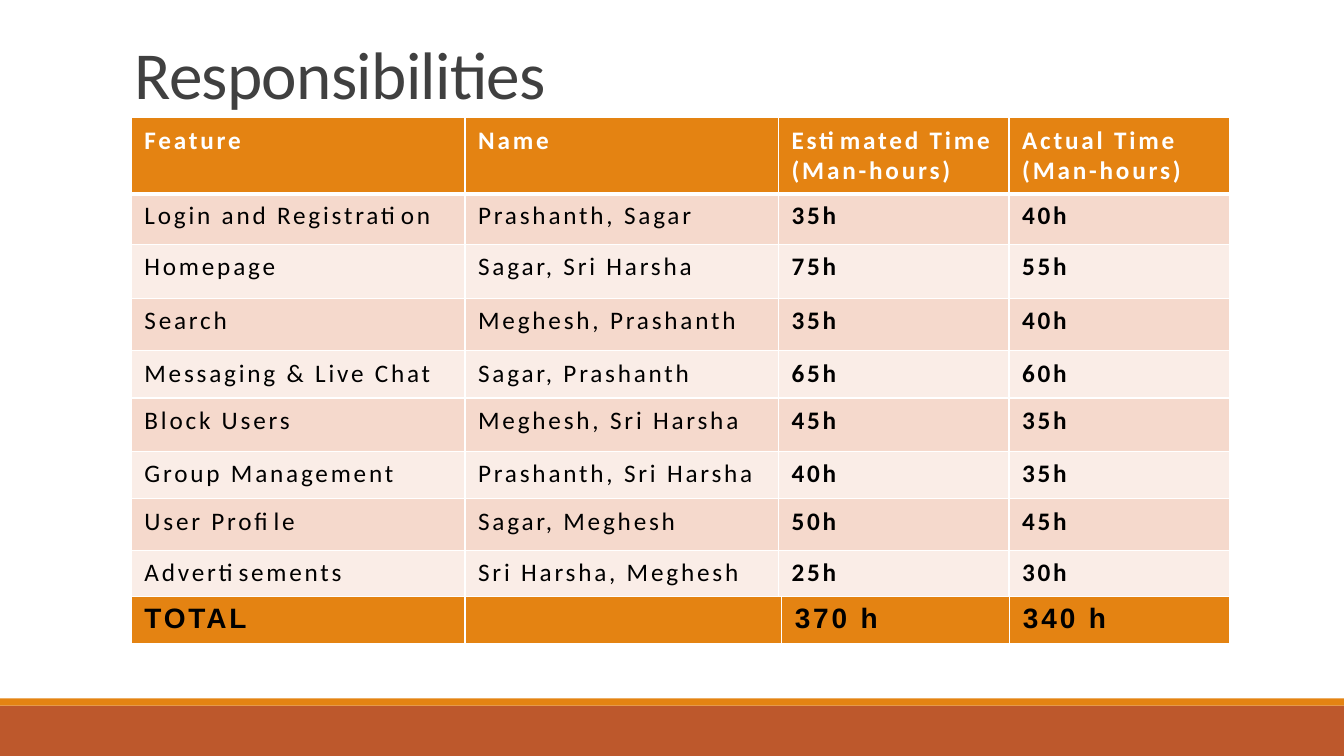
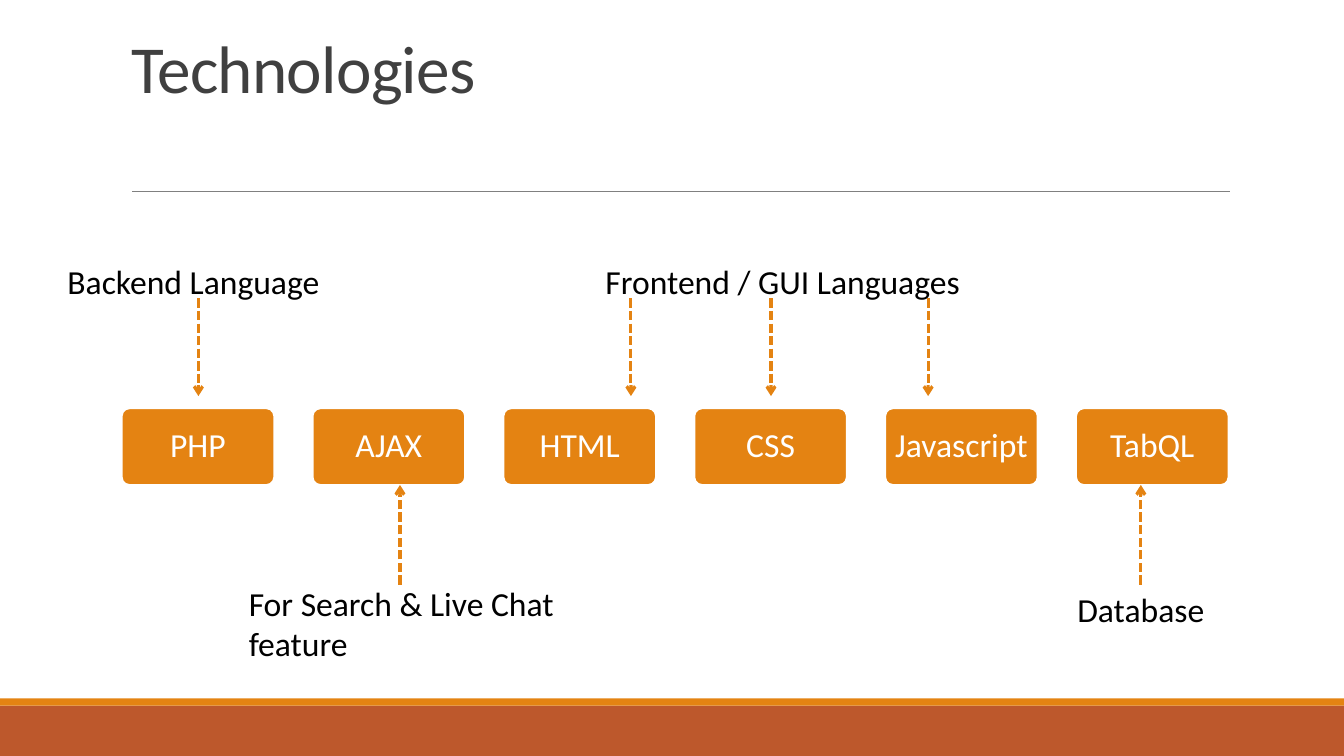
import lxml.etree
import pptx
import pptx.dml.color
import pptx.enum.dml
import pptx.enum.shapes
import pptx.enum.text
import pptx.oxml.ns
import pptx.util

Cm = pptx.util.Cm
Pt = pptx.util.Pt
qn = pptx.oxml.ns.qn
Shapes = pptx.enum.shapes.MSO_SHAPE
Anchor = pptx.enum.text.MSO_ANCHOR
Align = pptx.enum.text.PP_ALIGN

COLORS = {
    "orange": "E48312",
    "rust": "BD582C",
    "rule": "808080",
    "title": "404040",
    "black": "000000",
    "white": "FFFFFF",
    "band_dark": "F5D9CC",
    "band_light": "FAEDE7",
}
SLIDE_WIDTH, SLIDE_HEIGHT = 33.87, 19.05
TABLE_LEFT, TABLE_TOP = 3.31, 2.97

FEATURES = [
    ("Feature", "Name", "Estimated Time (Man-hours)", "Actual Time (Man-hours)"),
    ("Login and Registration", "Prashanth, Sagar", "35h", "40h"),
    ("Homepage", "Sagar, Sri Harsha", "75h", "55h"),
    ("Search", "Meghesh, Prashanth", "35h", "40h"),
    ("Messaging & Live Chat", "Sagar, Prashanth", "65h", "60h"),
    ("Block Users", "Meghesh, Sri Harsha", "45h", "35h"),
    ("Group Management", "Prashanth, Sri Harsha", "40h", "35h"),
    ("User Profile", "Sagar, Meghesh", "50h", "45h"),
    ("Advertisements", "Sri Harsha, Meghesh", "25h", "30h"),
]
FEATURE_COLUMNS = [8.41, 7.9, 5.81, 5.56]
FEATURE_ROWS = [1.82, 1.27, 1.37, 1.32, 1.19, 1.35, 1.19, 1.3, 1.25]
TOTALS = [("TOTAL", "", "370 h", "340 h")]
TOTAL_COLUMNS = [8.41, 7.98, 5.75, 5.54]
TOTAL_ROWS = [1.22]

TECHNOLOGIES = ["PHP", "AJAX", "HTML", "CSS", "Javascript", "TabQL"]
NOTES = [
    ("Backend Language", (1.45, 6.45, 8.1, 1.27)),
    ("Frontend / GUI Languages", (15.01, 6.45, 9.73, 1.27)),
    ("For Search & Live Chat feature", (6.02, 14.55, 8.66, 2.31)),
    ("Database", (26.9, 14.7, 3.94, 1.27)),
]
DOWN_ARROWS = [5.0, 15.9, 19.43, 23.39]
UP_ARROWS = [10.08, 28.75]


def rgb(name):
    """Return the named palette colour."""
    return pptx.dml.color.RGBColor.from_string(COLORS[name])


def write_text(frame, text, size=24, color="black", font="Calibri", bold=False,
               tracking=0, align=Align.LEFT, line_spacing=1.0):
    """Write one formatted paragraph into a text frame."""
    frame.word_wrap = True
    paragraph = frame.paragraphs[0]
    paragraph.alignment = align
    paragraph.line_spacing = line_spacing
    run = paragraph.add_run()
    run.text = text
    run.font.size = Pt(size)
    run.font.name = font
    run.font.bold = bold
    run.font.color.rgb = rgb(color)
    if tracking:
        run.font._element.set("spc", str(int(tracking * 100)))


def set_margins(target, horizontal, vertical):
    """Set the inner margins of a text frame or table cell."""
    target.margin_left = target.margin_right = Cm(horizontal)
    target.margin_top = target.margin_bottom = Cm(vertical)


def add_box(slide, kind, box, fill, outline=None):
    """Add a filled preset shape without shadow."""
    shape = slide.shapes.add_shape(kind, *map(Cm, box))
    shape.shadow.inherit = False
    shape.fill.solid()
    shape.fill.fore_color.rgb = rgb(fill)
    if outline:
        shape.line.color.rgb = rgb(outline)
        shape.line.width = Pt(1.25)
    else:
        shape.line.fill.background()
    return shape


def add_line(slide, start, end, color, width, arrow=False):
    """Add a straight line, or a dashed arrow."""
    connector = slide.shapes.add_connector(
        pptx.enum.shapes.MSO_CONNECTOR.STRAIGHT, *map(Cm, start + end))
    line = connector.line
    line.color.rgb = rgb(color)
    line.width = Pt(width)
    if arrow:
        line.dash_style = pptx.enum.dml.MSO_LINE.SQUARE_DOT
        lxml.etree.SubElement(line._get_or_add_ln(), qn("a:tailEnd"), type="arrow")
    lxml.etree.SubElement(connector._element.spPr, qn("a:effectLst"))


def add_label(slide, text, box, anchor=Anchor.TOP, margins=(0.25, 0.13), **text_format):
    """Add a wrapped text box."""
    frame = slide.shapes.add_textbox(*map(Cm, box)).text_frame
    frame.vertical_anchor = anchor
    set_margins(frame, *margins)
    write_text(frame, text, **text_format)


def add_base_slide(presentation):
    """Add a blank slide with the shared footer bands and title rule."""
    slide = presentation.slides.add_slide(presentation.slide_layouts[6])
    add_box(slide, Shapes.RECTANGLE, (0, 17.78, SLIDE_WIDTH, 1.27), "rust")
    add_box(slide, Shapes.RECTANGLE, (0, 17.6, SLIDE_WIDTH, 0.18), "orange")
    add_line(slide, (3.33, 4.83), (30.99, 4.83), "rule", 0.5)
    return slide


def add_title(slide, text, height, **placement):
    """Add the slide title in the shared style."""
    add_label(slide, text, (3.06, 0.79, 27.94, height), size=48, color="title",
              tracking=-0.5, line_spacing=0.85, **placement)


def style_cell(cell, fill, bottom_width):
    """Give a cell its margins, white borders and fill."""
    set_margins(cell, 0.33, 0.18)
    properties = cell._tc.get_or_add_tcPr()
    for side in "LRTB":
        width = Pt(bottom_width if side == "B" else 1)
        border = lxml.etree.SubElement(properties, qn("a:ln" + side), w=str(width))
        solid = lxml.etree.SubElement(border, qn("a:solidFill"))
        lxml.etree.SubElement(solid, qn("a:srgbClr"), val=COLORS["white"])
    cell.fill.solid()
    cell.fill.fore_color.rgb = rgb(fill)


def add_grid(slide, left, top, columns, rows, values, cell_style):
    """Add a table, asking cell_style for each cell's fill, border and text format."""
    frame = slide.shapes.add_table(len(rows), len(columns), Cm(left), Cm(top),
                                   Cm(sum(columns)), Cm(sum(rows)))
    table = frame.table
    table.first_row = table.horz_banding = False
    for column, width in zip(table.columns, columns):
        column.width = Cm(width)
    for row, height in zip(table.rows, rows):
        row.height = Cm(height)
    for row_index, texts in enumerate(values):
        for column_index, text in enumerate(texts):
            cell = table.cell(row_index, column_index)
            fill, bottom_width, text_format = cell_style(row_index, column_index)
            style_cell(cell, fill, bottom_width)
            if text:
                write_text(cell.text_frame, text, tracking=2, **text_format)


def feature_style(row, column):
    """Return the style of a feature table cell."""
    if row == 0:
        return "orange", 3, {"size": 18, "color": "white", "bold": True}
    fill = "band_dark" if row % 2 else "band_light"
    return fill, 1, {"size": 18, "bold": column >= 2}


def total_style(row, column):
    """Return the style of a total table cell."""
    return "orange", 3, {"size": 20, "font": "Arial", "bold": True}


def add_technology_row(slide, left, top, width, height, pitch):
    """Add the evenly spaced technology boxes."""
    for index, name in enumerate(TECHNOLOGIES):
        shape = add_box(slide, Shapes.ROUNDED_RECTANGLE,
                        (left + index * pitch, top, width, height), "orange", "white")
        shape.adjustments[0] = 0.1
        frame = shape.text_frame
        frame.vertical_anchor = Anchor.MIDDLE
        set_margins(frame, 0.18, 0.14)
        write_text(frame, name, color="white", align=Align.CENTER, line_spacing=0.9)


def build_responsibilities(presentation):
    """Build the slide with the feature and total tables."""
    slide = add_base_slide(presentation)
    add_grid(slide, TABLE_LEFT, TABLE_TOP, FEATURE_COLUMNS, FEATURE_ROWS,
             FEATURES, feature_style)
    add_title(slide, "Responsibilities", 4.04, margins=(0.33, 0.33))
    add_grid(slide, TABLE_LEFT, TABLE_TOP + sum(FEATURE_ROWS), TOTAL_COLUMNS,
             TOTAL_ROWS, TOTALS, total_style)


def build_technologies(presentation):
    """Build the slide with the annotated technology boxes."""
    slide = add_base_slide(presentation)
    add_title(slide, "Technologies", 2.03, anchor=Anchor.BOTTOM)
    add_technology_row(slide, 3.07, 10.29, 3.84, 1.93, 4.81)
    for text, box in NOTES:
        add_label(slide, text, box)
    for positions, start, end in ((DOWN_ARROWS, 7.52, 9.98), (UP_ARROWS, 14.73, 12.22)):
        for x in positions:
            add_line(slide, (x, start), (x, end), "orange", 2.25, arrow=True)


def main():
    """Build and save the presentation."""
    presentation = pptx.Presentation()
    presentation.slide_width = Cm(SLIDE_WIDTH)
    presentation.slide_height = Cm(SLIDE_HEIGHT)
    build_responsibilities(presentation)
    build_technologies(presentation)
    presentation.save("out.pptx")


if __name__ == "__main__":
    main()
